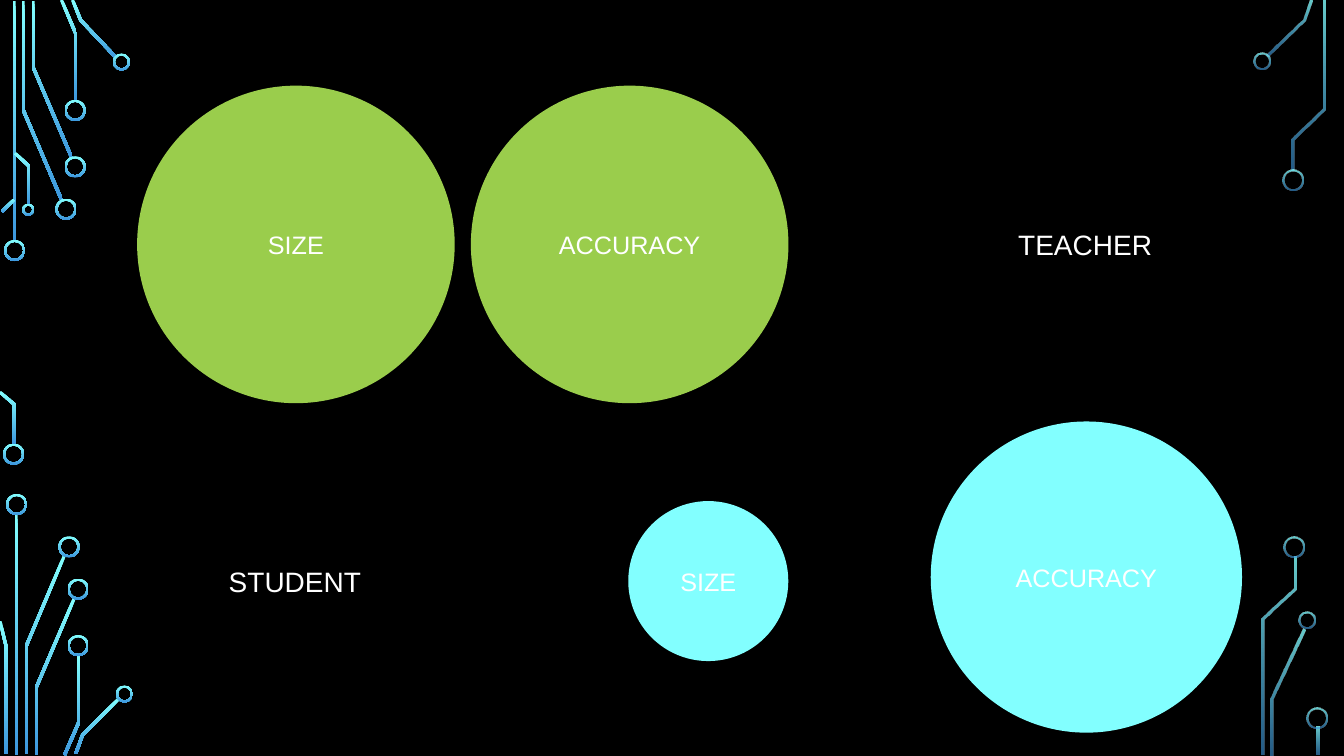
"""Build the slide comparing teacher and student models by size and accuracy."""
from math import hypot

from lxml.etree import SubElement
from pptx import Presentation
from pptx.dml.color import RGBColor
from pptx.enum.shapes import MSO_SHAPE
from pptx.enum.text import MSO_ANCHOR, MSO_AUTO_SIZE, PP_ALIGN
from pptx.oxml.ns import qn
from pptx.util import Inches, Pt

COLORS = {"back": "000000", "green": "9ACD4C", "cyan": "82FFFF",
          "blue": "3D97DE", "text": "FFFFFF"}
FONT = "Arial"

CIRCLES = [
    ("SIZE", 1.36, 0.85, 3.15, "green", False),
    ("ACCURACY", 4.67, 0.85, 3.15, "green", False),
    ("SIZE", 6.24, 4.98, 1.57, "cyan", True),
    ("ACCURACY", 9.24, 4.19, 3.07, "cyan", True),
]
LABELS = [("TEACHER", 10, 2.21, 1.55), ("STUDENT", 2.17, 5.55, 1.53)]

TRACE = 0.03
RIM = 0.02
LEFT = {
    "alphas": (100, 100),
    "traces": [
        [(0.14, 0.01), (0.14, 2.4)],
        [(0.23, 0.01), (0.23, 1.09), (0.61, 1.98)],
        [(0.33, 0.01), (0.33, 0.67), (0.71, 1.56)],
        [(0.61, 0), (0.75, 0.33), (0.75, 1)],
        [(0.72, 0), (0.8, 0.2), (1.15, 0.57)],
        [(0.14, 1.98), (0.02, 2.1)],
        [(0, 3.89), (0.14, 4.01), (0.14, 4.41)],
        [(0.15, 1.52), (0.29, 1.65), (0.29, 2.03)],
        [(0.16, 5.1), (0.16, 7.49)],
        [(0.26, 7.48), (0.26, 6.41), (0.64, 5.51)],
        [(0.06, 7.48), (0.06, 6.41), (0, 6.16)],
        [(0.36, 7.49), (0.36, 6.82), (0.74, 5.93)],
        [(0.78, 6.5), (0.78, 7.17), (0.64, 7.49)],
        [(0.75, 7.48), (0.82, 7.29), (1.18, 6.93)],
    ],
    "rings": [
        (0.04, 2.38, 0.21), (0.03, 4.4, 0.21), (0.55, 1.97, 0.21),
        (0.64, 1.55, 0.21), (0.64, 0.99, 0.21), (1.12, 0.53, 0.17),
        (0.22, 2.02, 0.12), (0.06, 4.9, 0.21), (0.58, 5.32, 0.21),
        (0.67, 5.74, 0.21), (0.67, 6.3, 0.21), (1.15, 6.8, 0.17),
    ],
}
RIGHT = {
    "alphas": (80, 60),
    "traces": [
        [(12.57, 0.55), (12.93, 0.2), (13, 0)],
        [(12.62, 7.49), (12.62, 6.93), (12.93, 6.24)],
        [(12.82, 1.69), (12.82, 1.38), (13.13, 1.08), (13.13, 0.01)],
        [(12.53, 7.49), (12.53, 6.14), (12.84, 5.84), (12.84, 5.52)],
        [(13.07, 7.21), (13.07, 7.49)],
    ],
    "rings": [
        (12.43, 0.52, 0.17), (12.72, 1.68, 0.21), (12.88, 6.07, 0.17),
        (12.73, 5.32, 0.21), (12.96, 7.02, 0.21),
    ],
}


def rgb(name):
    return RGBColor.from_string(COLORS[name])


def glow(shape, alphas):
    shape.shadow.inherit = False
    shape.line.fill.background()
    shape.fill.gradient()
    shape.fill.gradient_angle = 270
    for stop, name in zip(shape.fill.gradient_stops, ("cyan", "blue")):
        stop.color.rgb = rgb(name)
    tones = shape.element.spPr.iter(qn("a:srgbClr"))
    for tone, alpha in zip(tones, alphas):
        if alpha < 100:
            SubElement(tone, qn("a:alpha"), val=str(alpha * 1000))


def outline(line):
    norms = []
    for (xa, ya), (xb, yb) in zip(line, line[1:]):
        size = hypot(xb - xa, yb - ya)
        norms.append(((ya - yb) / size, (xb - xa) / size))
    one, two = [], []
    for (x, y), a, b in zip(line, norms[:1] + norms, norms + norms[-1:]):
        reach = TRACE / 2 / (1 + a[0] * b[0] + a[1] * b[1])
        dx, dy = (a[0] + b[0]) * reach, (a[1] + b[1]) * reach
        one.append((Inches(x + dx), Inches(y + dy)))
        two.append((Inches(x - dx), Inches(y - dy)))
    return one + two[::-1]


def circuit(slide, side):
    shapes = slide.shapes.add_group_shape().shapes
    for line in side["traces"]:
        start, *rest = outline(line)
        pen = shapes.build_freeform(*start)
        pen.add_line_segments(rest, close=True)
        glow(pen.convert_to_shape(), side["alphas"])
    for x, y, size in side["rings"]:
        ring = shapes.add_shape(MSO_SHAPE.DONUT, Inches(x), Inches(y),
                                Inches(size), Inches(size))
        ring.adjustments[0] = RIM / size
        glow(ring, side["alphas"])


def write(frame, text, size, align):
    frame.text = text
    para = frame.paragraphs[0]
    para.alignment = align
    para.font.name = FONT
    para.font.size = Pt(size)
    para.font.color.rgb = rgb("text")


def main():
    deck = Presentation()
    deck.slide_width, deck.slide_height = Inches(13.33), Inches(7.5)
    slide = deck.slides.add_slide(deck.slide_layouts[6])
    slide.background.fill.solid()
    slide.background.fill.fore_color.rgb = rgb("back")

    for side in (LEFT, RIGHT):
        circuit(slide, side)

    for text, x, y, size, color, lined in CIRCLES:
        disc = slide.shapes.add_shape(MSO_SHAPE.OVAL, Inches(x), Inches(y),
                                      Inches(size), Inches(size))
        disc.shadow.inherit = False
        disc.fill.solid()
        disc.fill.fore_color.rgb = rgb(color)
        if lined:
            disc.line.color.rgb = rgb(color)
            disc.line.width = Pt(1.25)
        else:
            disc.line.fill.background()
        disc.text_frame.vertical_anchor = MSO_ANCHOR.MIDDLE
        write(disc.text_frame, text, 18, PP_ALIGN.CENTER)

    for text, x, y, width in LABELS:
        box = slide.shapes.add_textbox(Inches(x), Inches(y),
                                       Inches(width), Inches(0.44))
        box.text_frame.word_wrap = False
        box.text_frame.auto_size = MSO_AUTO_SIZE.SHAPE_TO_FIT_TEXT
        write(box.text_frame, text, 20, PP_ALIGN.LEFT)

    deck.save("out.pptx")


if __name__ == "__main__":
    main()
